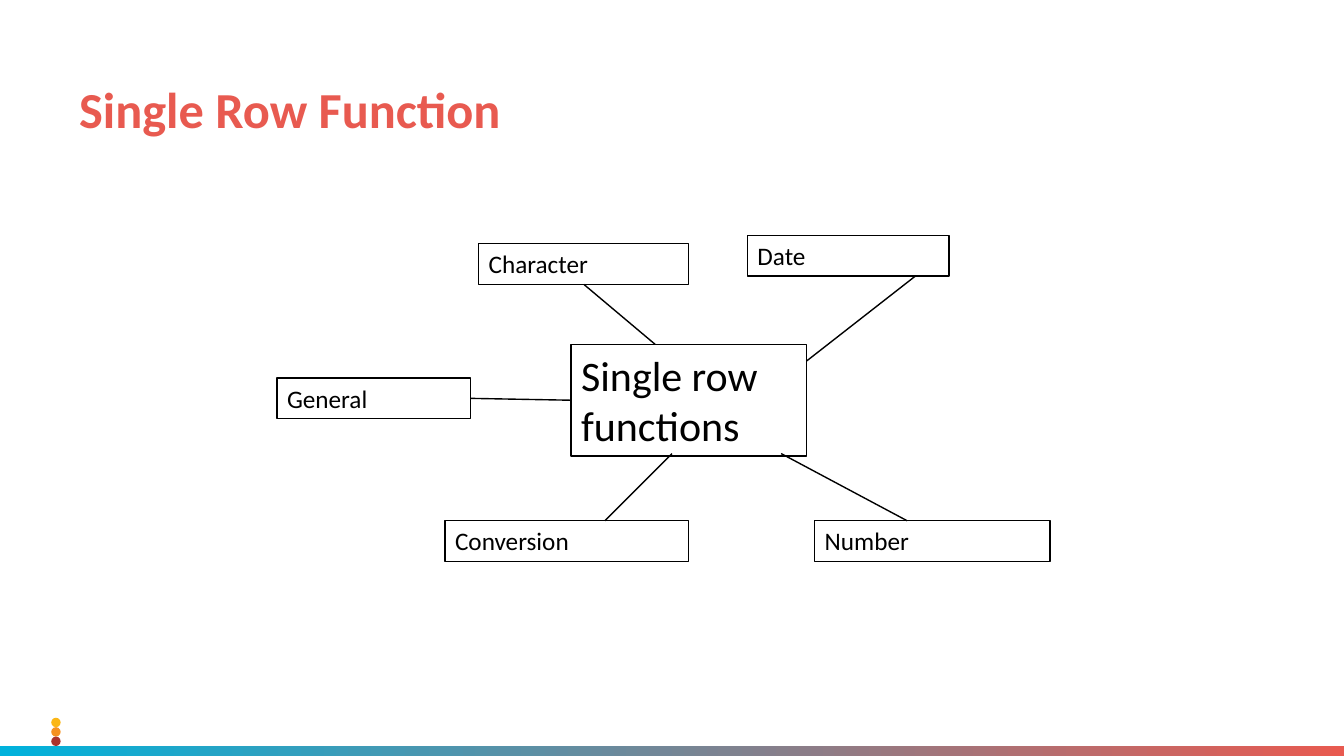
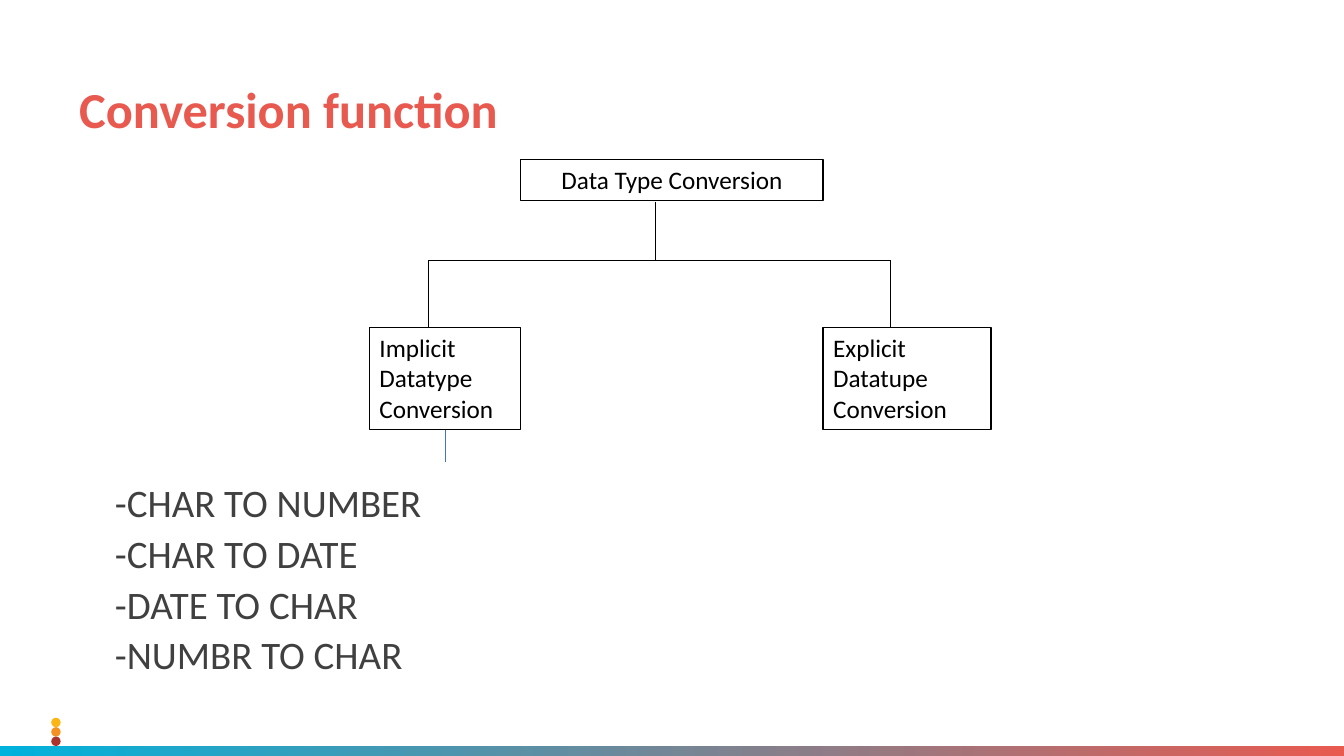
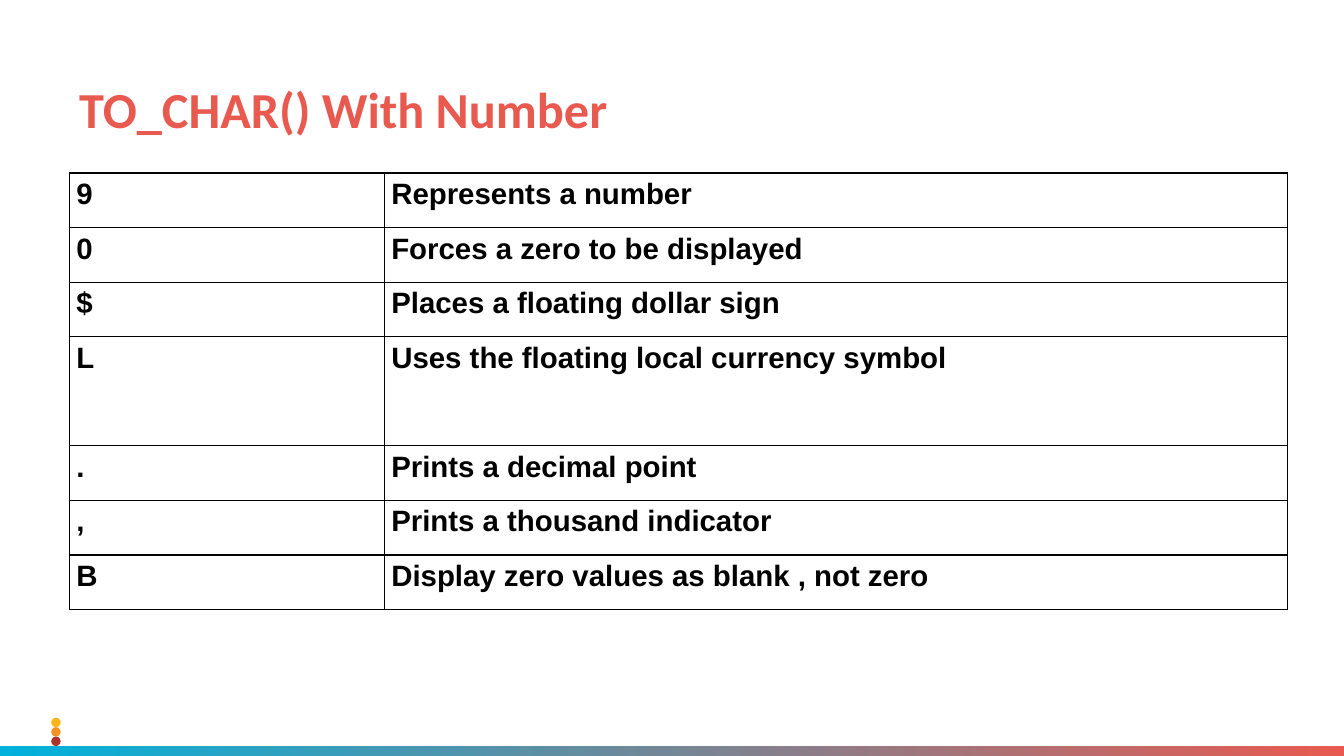
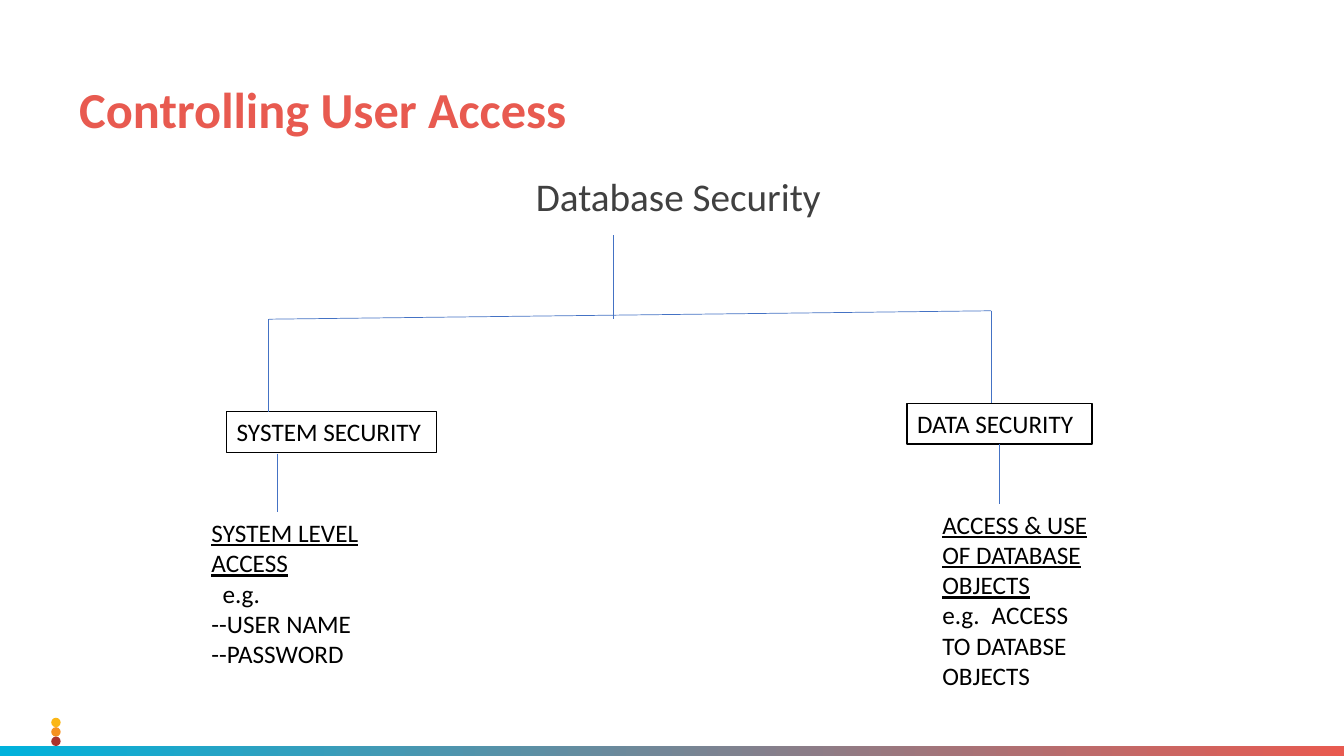
from dataclasses import dataclass
from typing import NamedTuple, Sequence, Union

import pptx
import pptx.dml.color
import pptx.enum.shapes
import pptx.enum.text
import pptx.oxml.ns
import pptx.util
from lxml import etree

# The slide is a grid of 160 columns by 90 rows, each cell 1/12 inch
CELL = pptx.util.Inches(1) // 12
COLS, ROWS = 160, 90

BLACK, WHITE, BLUE = "000000", "FFFFFF", "4472C4"
CORAL, CYAN, GREY = "E85A50", "00B2DC", "404040"
DOT_COLOURS = ("FBB615", "F59120", "AC322C")

SHAPE = pptx.enum.shapes.MSO_SHAPE
ALIGN = pptx.enum.text.PP_ALIGN
TOP, LEFT, BOTTOM, RIGHT = range(4)
LABEL_ROWS = 4.85  # height of a box with one line of text


class Area(NamedTuple):
    col: float
    row: float
    cols: float
    rows: float


class Point(NamedTuple):
    col: float
    row: float


class Site(NamedTuple):
    box: str
    side: int


End = Union[Point, Site]


@dataclass
class Style:
    size: float = 18
    colour: str = BLACK
    bold: bool = False
    font: str = "Calibri"
    align: ALIGN = ALIGN.LEFT
    spacing: float = 1.0
    before: float = 0


@dataclass
class Box:
    text: str
    area: Area
    style: Style


@dataclass
class Link:
    start: End
    end: End
    colour: str = BLACK
    width: float = 0.5


LABEL = Style()
TITLE = Style(36, CORAL, bold=True, spacing=0.9)
TABLE = Style(21, bold=True, font="Arial", spacing=1.15)


# Helpers
def rgb(colour: str):
    return pptx.dml.color.RGBColor.from_string(colour)


def cells(*values: float) -> list:
    return [pptx.util.Emu(round(v * CELL)) for v in values]


def write(tf, lines: Sequence[str], style: Style) -> None:
    tf.word_wrap = True
    tf.vertical_anchor = pptx.enum.text.MSO_ANCHOR.TOP
    for i, line in enumerate(lines):
        p = tf.add_paragraph() if i else tf.paragraphs[0]
        p.text = line
        p.alignment = style.align
        p.line_spacing = style.spacing
        p.space_before = pptx.util.Pt(style.before if i else 0)
        for r in p.runs:
            r.font.name = style.font
            r.font.size = pptx.util.Pt(style.size)
            r.font.bold = style.bold
            r.font.color.rgb = rgb(style.colour)


def add_text(s, area: Area, lines: Sequence[str], style: Style):
    tf = s.shapes.add_textbox(*cells(*area)).text_frame
    write(tf, lines, style)
    return tf


def add_shape(s, kind: SHAPE, area: Area):
    sp = s.shapes.add_shape(kind, *cells(*area))
    sp.shadow.inherit = False
    sp.line.fill.background()
    return sp


def fill(sp, colour: str) -> None:
    sp.fill.solid()
    sp.fill.fore_color.rgb = rgb(colour)


def add_box(s, box: Box):
    sp = add_shape(s, SHAPE.RECTANGLE, box.area)
    fill(sp, WHITE)
    sp.line.color.rgb = rgb(BLACK)
    sp.line.width = pptx.util.Pt(1)
    write(sp.text_frame, [box.text], box.style)
    return sp


def add_link(s, link: Link, boxes: dict) -> None:
    ends = [e if isinstance(e, Point) else Point(0, 0) for e in (link.start, link.end)]
    cx = s.shapes.add_connector(
        pptx.enum.shapes.MSO_CONNECTOR.STRAIGHT, *cells(*ends[0], *ends[1]))
    for end, join in ((link.start, cx.begin_connect), (link.end, cx.end_connect)):
        if isinstance(end, Site):
            join(boxes[end.box], end.side)
    cx.line.color.rgb = rgb(link.colour)
    cx.line.width = pptx.util.Pt(link.width)
    etree.SubElement(cx._element.spPr, pptx.oxml.ns.qn("a:effectLst"))


def add_diagram(s, boxes: Sequence[Box], links: Sequence[Link]) -> None:
    drawn = {box.text: add_box(s, box) for box in boxes}
    for link in links:
        add_link(s, link, drawn)


def label(text: str, col: float, row: float, cols: float,
          rows: float = LABEL_ROWS, style: Style = LABEL) -> Box:
    return Box(text, Area(col, row, cols, rows), style)


def add_borders(cell) -> None:
    tc_pr = cell._tc.get_or_add_tcPr()
    qn = pptx.oxml.ns.qn
    for side in "LRTB":
        ln = etree.SubElement(tc_pr, qn(f"a:ln{side}"), w=str(pptx.util.Pt(1)))
        paint = etree.SubElement(ln, qn("a:solidFill"))
        etree.SubElement(paint, qn("a:srgbClr"), val=BLACK)


# Parts every slide shares: title, dots and bottom band
def new_slide(prs, title: str):
    s = prs.slides.add_slide(prs.slide_layouts[6])
    band = add_shape(s, SHAPE.RECTANGLE, Area(0, 88.8, COLS, 1.2))
    band.fill.gradient()
    band.fill.gradient_angle = 0
    for stop, colour in zip(band.fill.gradient_stops, (CYAN, CORAL)):
        stop.color.rgb = rgb(colour)
    for i, colour in enumerate(DOT_COLOURS):
        fill(add_shape(s, SHAPE.OVAL, Area(6.1, 85.45 + 1.12 * i, 1.12, 1.12)), colour)
    add_text(s, Area(8.25, 9.5, 145, 8.9), [title], TITLE)
    return s


# Slides
def single_row_slide(prs) -> None:
    s = new_slide(prs, "Single Row Function")
    hub = "Single row functions"
    boxes = [
        label(hub, 68, 41, 28, 13.3, Style(30)),
        label("Character", 57, 29, 25),
        label("General", 33, 45, 23),
        label("Conversion", 53, 62, 29),
        label("Number", 97, 62, 28),
        label("Date", 89, 28, 24),
    ]
    ends = [
        (Site("Character", BOTTOM), Point(78, 41)),
        (Site("General", RIGHT), Site(hub, LEFT)),
        (Point(80, 54), Point(72, 62)),
        (Point(93, 54), Point(108, 62)),
        (Point(96, 43), Point(109, 32.85)),
    ]
    add_diagram(s, boxes, [Link(a, b, width=1) for a, b in ends])


def conversion_slide(prs) -> None:
    s = new_slide(prs, "Conversion function")
    add_text(s, Area(12.5, 57.5, 142, 25),
             ["-CHAR TO NUMBER", "-CHAR TO DATE", "-DATE TO CHAR", "-NUMBR TO CHAR"],
             Style(27.8, GREY, spacing=0.8, before=9.5))
    implicit = "Implicit Datatype Conversion"
    boxes = [
        label("Data Type Conversion", 62, 19, 36, style=Style(align=ALIGN.CENTER)),
        label(implicit, 44, 39, 18, 12.15),
        label("Explicit Datatupe Conversion", 98, 39, 20, 12.15),
    ]
    links = [
        Link(Point(78, 24), Point(78, 31)),
        Link(Point(51, 31), Point(106, 31)),
        Link(Point(51, 31), Point(51, 39)),
        Link(Point(106, 31), Point(106, 39)),
        Link(Site(implicit, BOTTOM), Point(53, 55), BLUE),
    ]
    add_diagram(s, boxes, links)


def to_char_slide(prs) -> None:
    s = new_slide(prs, "TO_CHAR() With Number")
    rows = [
        ("9", "Represents a number"),
        ("0", "Forces a zero to be displayed"),
        ("$", "Places a floating dollar sign"),
        ("L", "Uses the floating local currency symbol"),
        (".", "Prints a decimal point"),
        (",", "Prints a thousand indicator"),
        ("B", "Display zero values as blank , not zero"),
    ]
    widths, row_height = (37.5, 107.5), 6.5
    table = s.shapes.add_table(
        len(rows), len(widths),
        *cells(8.25, 20.6, sum(widths), row_height * (len(rows) + 1))).table
    table.first_row = table.horz_banding = False
    for column, width in zip(table.columns, cells(*widths)):
        column.width = width
    for i, row in enumerate(rows):
        height = row_height * (2 if row[0] == "L" else 1)
        table.rows[i].height = cells(height)[0]
        for j, text in enumerate(row):
            cell = table.cell(i, j)
            add_borders(cell)
            cell.fill.background()
            cell.margin_left = cell.margin_right = pptx.util.Inches(0.07)
            cell.margin_top = cell.margin_bottom = 0
            write(cell.text_frame, [text], TABLE)


def user_access_slide(prs) -> None:
    s = new_slide(prs, "Controlling User Access")
    add_text(s, Area(8.25, 20.6, 145, 7), ["Database Security"],
             Style(28, GREY, align=ALIGN.CENTER, spacing=0.9))
    boxes = [
        label("SYSTEM SECURITY", 27, 49, 25),
        label("DATA SECURITY", 108, 48, 22),
    ]
    ends = [
        (Point(73, 28), Point(73, 38)),
        (Point(32, 38), Point(118, 37)),
        (Point(32, 38), Point(32, 49)),
        (Point(118, 37), Point(118, 48)),
        (Point(33, 54), Point(33, 61)),
        (Site("DATA SECURITY", BOTTOM), Point(119, 60)),
    ]
    add_diagram(s, boxes, [Link(a, b, BLUE) for a, b in ends])

    # Notes under the two boxes, each with an underlined heading
    system = add_text(s, Area(24, 61, 29, 19.4),
                      ["SYSTEM LEVEL ACCESS", "e.g.", "--USER NAME", "--PASSWORD"], LABEL)
    data = add_text(s, Area(111, 60, 21, 23),
                    ["ACCESS & USE OF DATABASE OBJECTS",
                     "e.g.\tACCESS TO DATABSE OBJECTS"], LABEL)
    for tf in (system, data):
        tf.paragraphs[0].runs[0].font.underline = True
    system.paragraphs[1]._p.get_or_add_pPr().set("marL", str(pptx.util.Inches(0.11)))
    tabs = etree.SubElement(data.paragraphs[1]._p.get_or_add_pPr(),
                            pptx.oxml.ns.qn("a:tabLst"))
    etree.SubElement(tabs, pptx.oxml.ns.qn("a:tab"),
                     pos=str(pptx.util.Inches(0.49)), algn="l")


def main() -> None:
    prs = pptx.Presentation()
    prs.slide_width, prs.slide_height = cells(COLS, ROWS)
    for build in (single_row_slide, conversion_slide, to_char_slide, user_access_slide):
        build(prs)
    prs.save("out.pptx")


if __name__ == "__main__":
    main()
